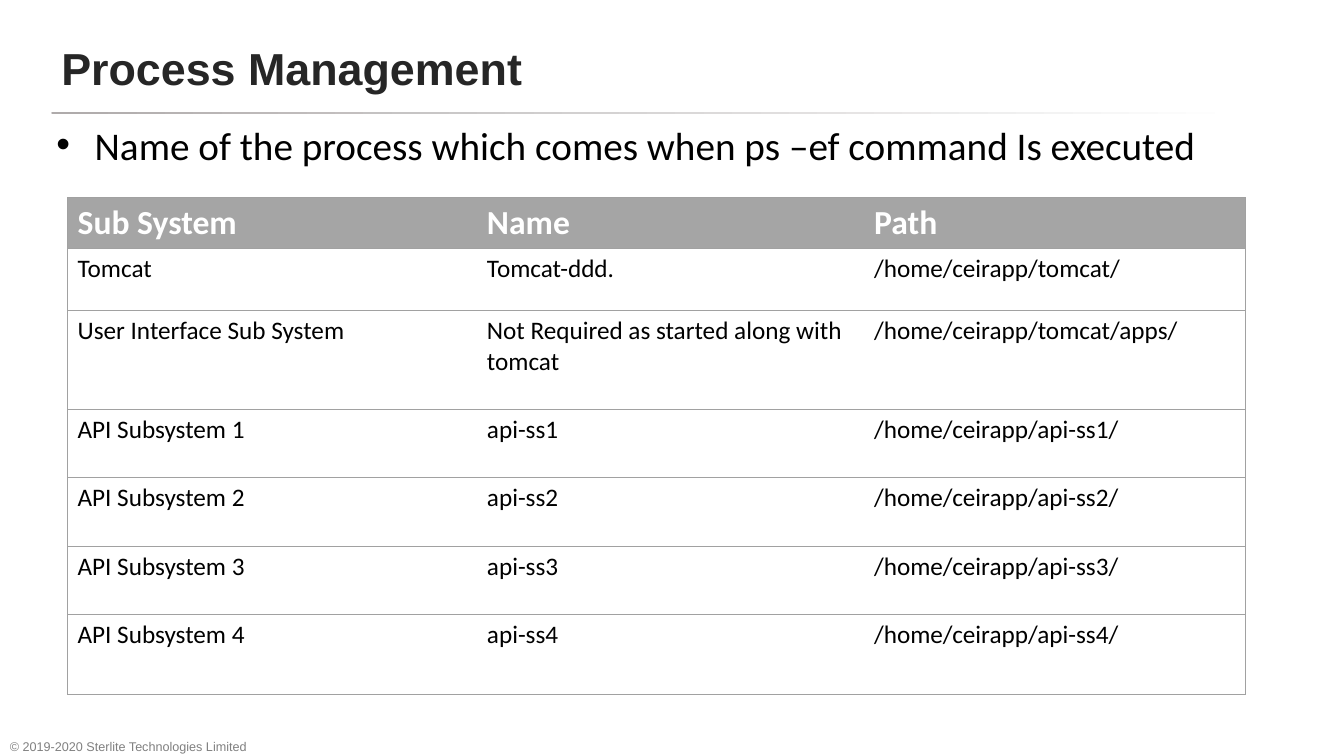
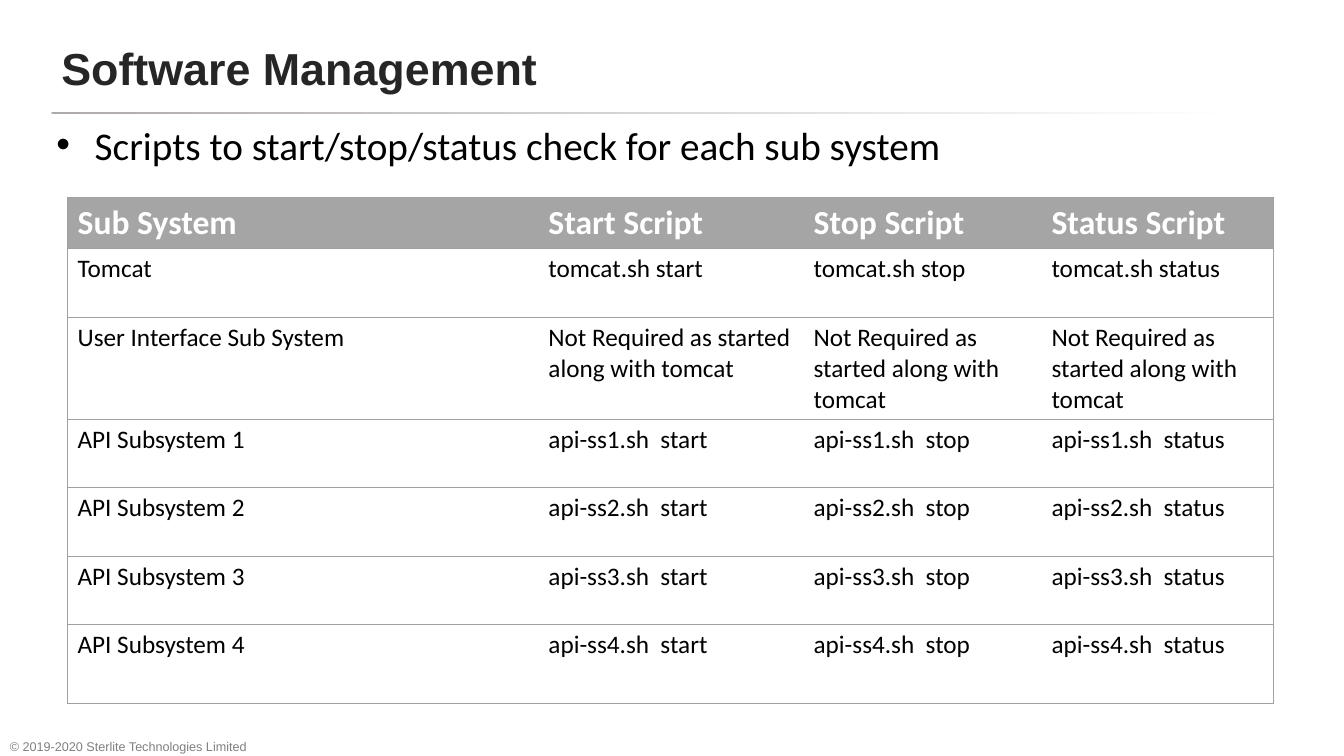
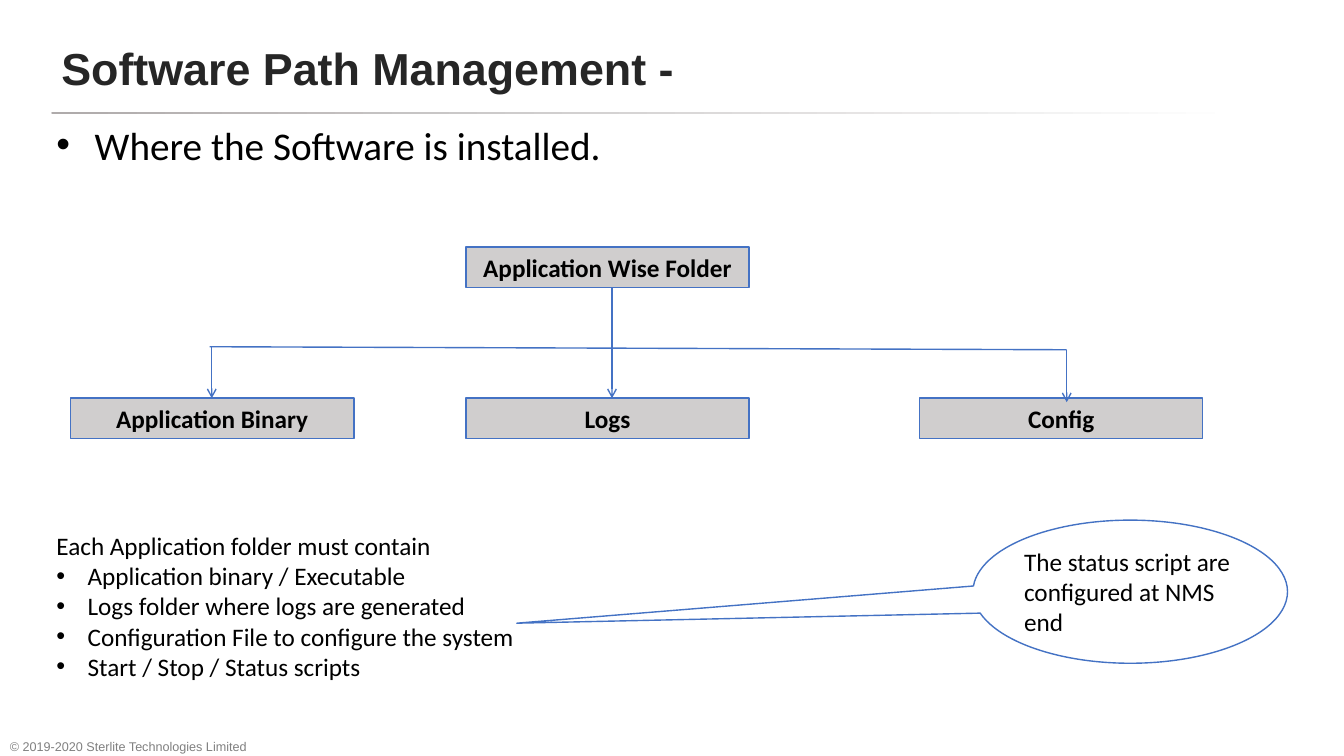
"""Build three slides on process, software and path management."""
from dataclasses import dataclass

from lxml import etree
from pptx import Presentation
from pptx.dml.color import RGBColor
from pptx.enum.shapes import MSO_CONNECTOR, MSO_SHAPE
from pptx.enum.text import MSO_ANCHOR, PP_ALIGN
from pptx.oxml.ns import qn
from pptx.util import Emu, Pt

PX = 9144
BLANK = 6
STRAIGHT = MSO_CONNECTOR.STRAIGHT
RECTANGLE, ROUNDED = MSO_SHAPE.RECTANGLE, MSO_SHAPE.ROUNDED_RECTANGLE
CALLOUT = MSO_SHAPE.OVAL_CALLOUT
TOP, MIDDLE, BOTTOM = MSO_ANCHOR.TOP, MSO_ANCHOR.MIDDLE, MSO_ANCHOR.BOTTOM
LEFT, CENTER = PP_ALIGN.LEFT, PP_ALIGN.CENTER


@dataclass(frozen=True)
class TextStyle:
    """Font of a paragraph."""

    font: str
    size: int
    color: str
    bold: bool = False


@dataclass(frozen=True)
class Theme:
    """Colours and type styles of the deck."""

    white: str = "FFFFFF"
    rule: str = "AFABAB"
    header: str = "A5A5A5"
    border: str = "A1A1A1"
    folder: str = "D0CECE"
    line: str = "4472C4"
    title: TextStyle = TextStyle("Arial", 32, "262626", True)
    footer: TextStyle = TextStyle("Arial", 9, "808080")
    lead: TextStyle = TextStyle("Calibri", 28, "000000")
    body: TextStyle = TextStyle("Calibri", 18, "000000")
    label: TextStyle = TextStyle("Calibri", 18, "000000", True)
    heading: TextStyle = TextStyle("Calibri", 24, "FFFFFF", True)


def px(*lengths):
    """Turn px lengths into EMU."""
    return [Emu(length * PX) for length in lengths]


def rgb(color):
    """Turn a hex string into a colour."""
    return RGBColor.from_string(color)


class Slides:
    """Deck style and current slide, with a method for each element."""

    def __init__(self, theme):
        self.theme = theme
        self.deck = Presentation()
        self.deck.slide_width, self.deck.slide_height = px(1333, 750)
        self.page = None

    def start(self, title, lead):
        """Add a slide with its rule, footer, title and lead bullet."""
        self.page = self.deck.slides.add_slide(self.deck.slide_layouts[BLANK])
        self.rule()
        self.text((0, 722, 303, 31), ["© 2019-2020 Sterlite Technologies Limited"],
                  self.theme.footer, anchor=BOTTOM, inset=(10, 5))
        self.text((51, 115, 1163, 199), [lead], self.theme.lead, bullet_indent=38)
        self.text((51, 23, 1073, 88), [title], self.theme.title,
                  anchor=MIDDLE, inset=(10, 5))

    def rule(self):
        """Draw the fading rule under the title."""
        rule = self.page.shapes.add_shape(ROUNDED, *px(51, 111, 1231, 2))
        rule.shadow.inherit = False
        rule.adjustments[0] = 0.5
        rule.line.fill.background()
        rule.fill.gradient()
        rule.fill.gradient_angle = 0
        stops = zip(rule.fill.gradient_stops, (self.theme.rule, self.theme.white), (0, 0.96))
        for stop, color, position in stops:
            stop.color.rgb = rgb(color)
            stop.position = position

    def style(self, para, style, align=LEFT, bullet_indent=0):
        """Style one paragraph."""
        para.alignment = align
        if bullet_indent:
            props = para._p.get_or_add_pPr()
            props.set("marL", str(bullet_indent * PX))
            props.set("indent", str(-bullet_indent * PX))
            etree.SubElement(props, qn("a:buFont"), typeface="Arial")
            etree.SubElement(props, qn("a:buChar"), char="•")
        font = para.font
        font.name, font.size, font.bold = style.font, Pt(style.size), style.bold
        font.color.rgb = rgb(style.color)

    def fill_box(self, box, lines, style, align=LEFT, anchor=TOP, inset=(5, 5),
                 bullet_indent=0, plain_lines=0):
        """Fill a box with paragraphs, bulleted after the plain lines."""
        frame = box.text_frame
        frame.word_wrap = True
        frame.vertical_anchor = anchor
        frame.margin_left, frame.margin_top = px(*inset)
        frame.margin_right, frame.margin_bottom = px(*inset)
        for index, line in enumerate(lines):
            para = frame.add_paragraph() if index else frame.paragraphs[0]
            para.text = line
            self.style(para, style, align, bullet_indent if index >= plain_lines else 0)

    def text(self, place, lines, style, **options):
        """Add a text box."""
        self.fill_box(self.page.shapes.add_textbox(*px(*place)), lines, style, **options)

    def shape(self, kind, place, label, style, fill, align=LEFT, adjustments=()):
        """Add an outlined shape with a label."""
        shape = self.page.shapes.add_shape(kind, *px(*place))
        shape.shadow.inherit = False
        for index, value in enumerate(adjustments):
            shape.adjustments[index] = value
        shape.fill.solid()
        shape.fill.fore_color.rgb = rgb(fill)
        shape.line.color.rgb = rgb(self.theme.line)
        shape.line.width = Pt(1)
        self.fill_box(shape, [label], style, align=align, anchor=MIDDLE)

    def line(self, start, end, arrow=False):
        """Add a straight line, with an arrowhead at its end if asked."""
        line = self.page.shapes.add_connector(STRAIGHT, *px(*start, *end))
        line.line.color.rgb = rgb(self.theme.line)
        line.line.width = Pt(1)
        props = line.element.spPr
        if arrow:
            etree.SubElement(props.find(qn("a:ln")), qn("a:tailEnd"), type="arrow")
        etree.SubElement(props, qn("a:effectLst"))

    def borders(self, cell, first, last):
        """Rule a cell above and below, and at the table's outer sides."""
        props = cell._tc.get_or_add_tcPr()
        sides = (("L", first), ("R", last), ("T", True), ("B", True))
        for index, (side, drawn) in enumerate(sides):
            edge = etree.Element(qn(f"a:ln{side}"), w=str(Pt(0.75)))
            if drawn:
                fill = etree.SubElement(edge, qn("a:solidFill"))
                etree.SubElement(fill, qn("a:srgbClr"), val=self.theme.border)
            else:
                etree.SubElement(edge, qn("a:noFill"))
            props.insert(index, edge)

    def table(self, left, top, widths, heights, rows):
        """Add a table whose first row is the heading."""
        place = px(left, top, sum(widths), sum(heights))
        table = self.page.shapes.add_table(len(rows), len(widths), *place).table
        table.horz_banding = False
        for column, width in zip(table.columns, px(*widths)):
            column.width = width
        for row, height in zip(table.rows, px(*heights)):
            row.height = height
        for row_index, values in enumerate(rows):
            heading = row_index == 0
            for column_index, value in enumerate(values):
                cell = table.cell(row_index, column_index)
                cell.text = value
                cell.fill.solid()
                cell.fill.fore_color.rgb = rgb(self.theme.header if heading else self.theme.white)
                self.style(cell.text_frame.paragraphs[0],
                           self.theme.heading if heading else self.theme.body)
                self.borders(cell, column_index == 0, column_index == len(widths) - 1)


def process_slide(slides):
    """Build the table of process names."""
    slides.start("Process Management",
                 "Name of the process which comes when ps –ef command Is executed")
    rows = [
        ("Sub System", "Name", "Path"),
        ("Tomcat", "Tomcat-ddd.", "/home/ceirapp/tomcat/"),
        ("User Interface Sub System", "Not Required as started along with tomcat",
         "/home/ceirapp/tomcat/apps/"),
    ]
    rows += [(f"API Subsystem {n}", f"api-ss{n}", f"/home/ceirapp/api-ss{n}/")
             for n in range(1, 5)]
    slides.table(67, 196, (406, 384, 378), (51, 61, 98, 68, 68, 68, 79), rows)


def software_slide(slides):
    """Build the table of control scripts."""
    slides.start("Software Management",
                 "Scripts to start/stop/status check for each sub system")
    actions = ("start", "stop", "status")
    rows = [
        ("Sub System", *(f"{action.title()} Script" for action in actions)),
        ("Tomcat", *(f"tomcat.sh {action}" for action in actions)),
        ("User Interface Sub System",
         *["Not Required as started along with tomcat"] * len(actions)),
    ]
    rows += [(f"API Subsystem {n}", *(f"api-ss{n}.sh  {action}" for action in actions))
             for n in range(1, 5)]
    slides.table(67, 196, (467, 263, 236, 230), (51, 68, 101, 68, 68, 68, 78), rows)


def path_slide(slides):
    """Build the folder tree with its notes."""
    theme = slides.theme
    slides.start("Software Path Management -", "Where the Software is installed.")
    folders = (
        (462, 245, "Application Wise Folder"),
        (912, 395, "Config"),
        (462, 395, "Logs"),
        (70, 395, "Application Binary"),
    )
    for left, top, label in folders:
        slides.shape(RECTANGLE, (left, top, 281, 40), label, theme.label,
                     theme.folder, align=CENTER)
    slides.line((607, 285), (607, 347))
    slides.line((208, 344), (1058, 347))
    for x, top, bottom in ((210, 344, 395), (607, 344, 395), (1058, 347, 399)):
        slides.line((x, top), (x, bottom), arrow=True)
    contents = [
        "Each Application folder must contain",
        "Application binary / Executable",
        "Logs folder where logs are generated",
        "Configuration File to configure the system",
        "Start / Stop / Status scripts",
    ]
    slides.text((51, 521, 1187, 162), contents, theme.body, bullet_indent=31, plain_lines=1)
    slides.shape(CALLOUT, (965, 516, 312, 142),
                 "The status script are configured at NMS end",
                 theme.body, theme.white, adjustments=(-1.95, 0.22))


def main():
    """Build and save the deck."""
    slides = Slides(Theme())
    process_slide(slides)
    software_slide(slides)
    path_slide(slides)
    slides.deck.save("out.pptx")


if __name__ == "__main__":
    main()
